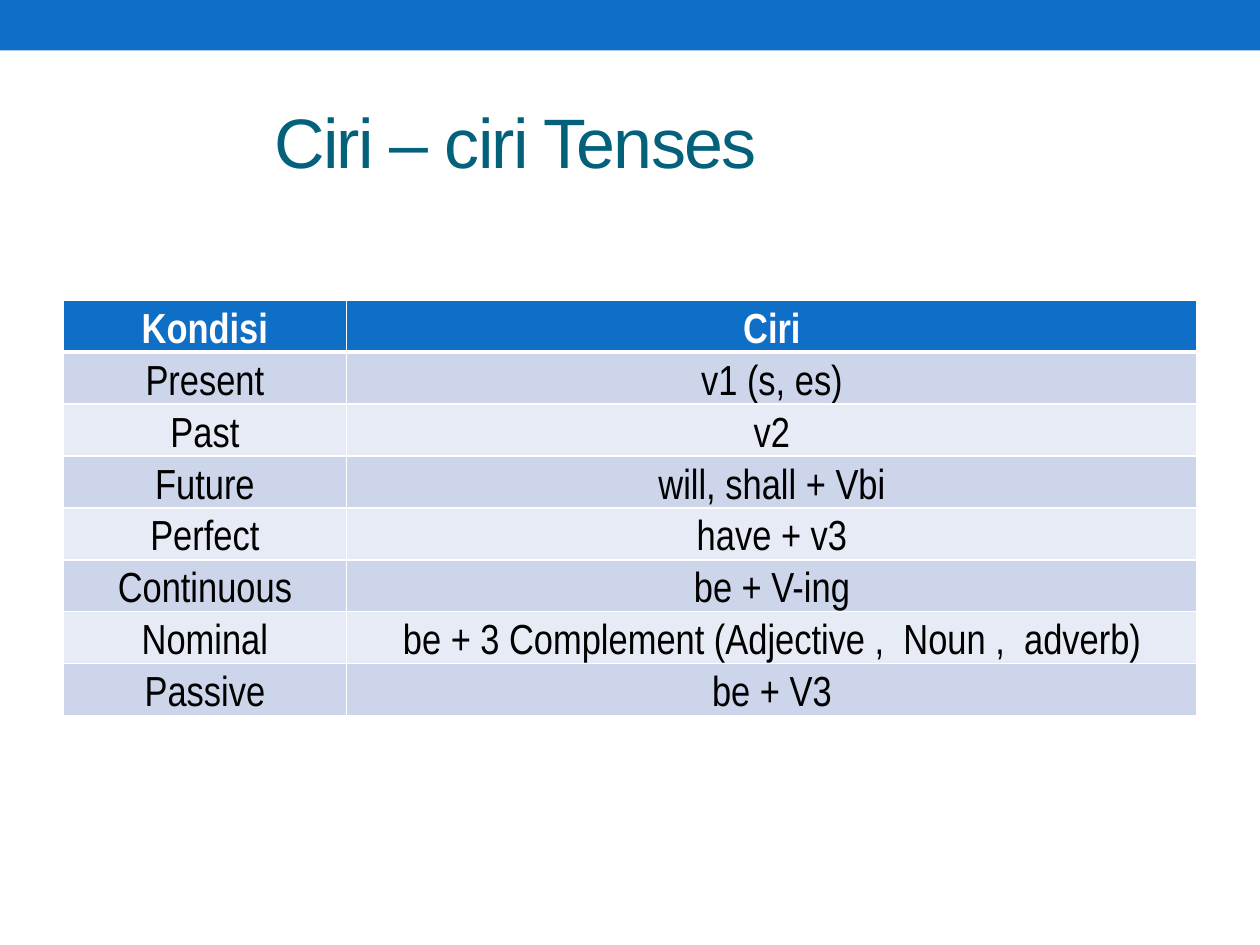
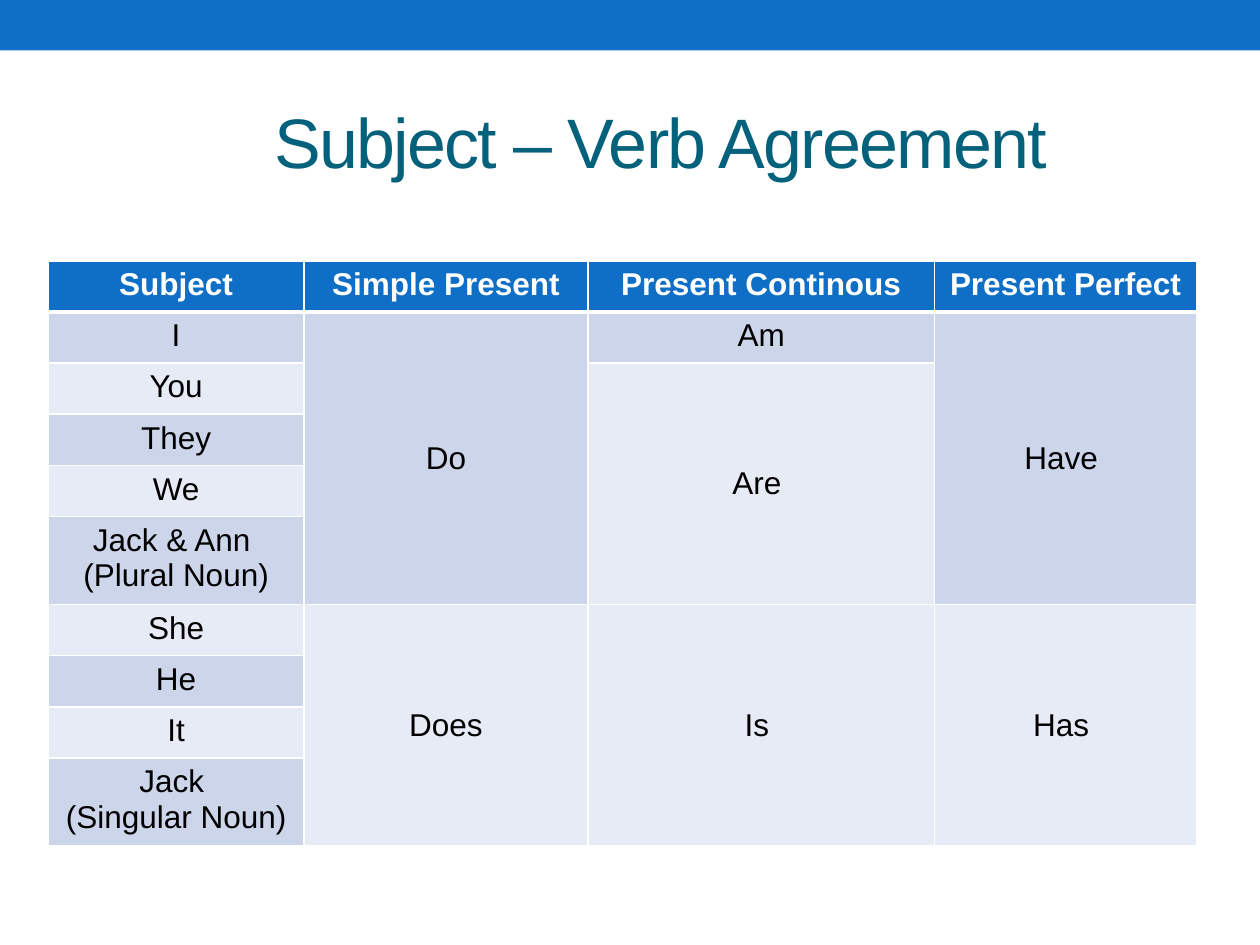
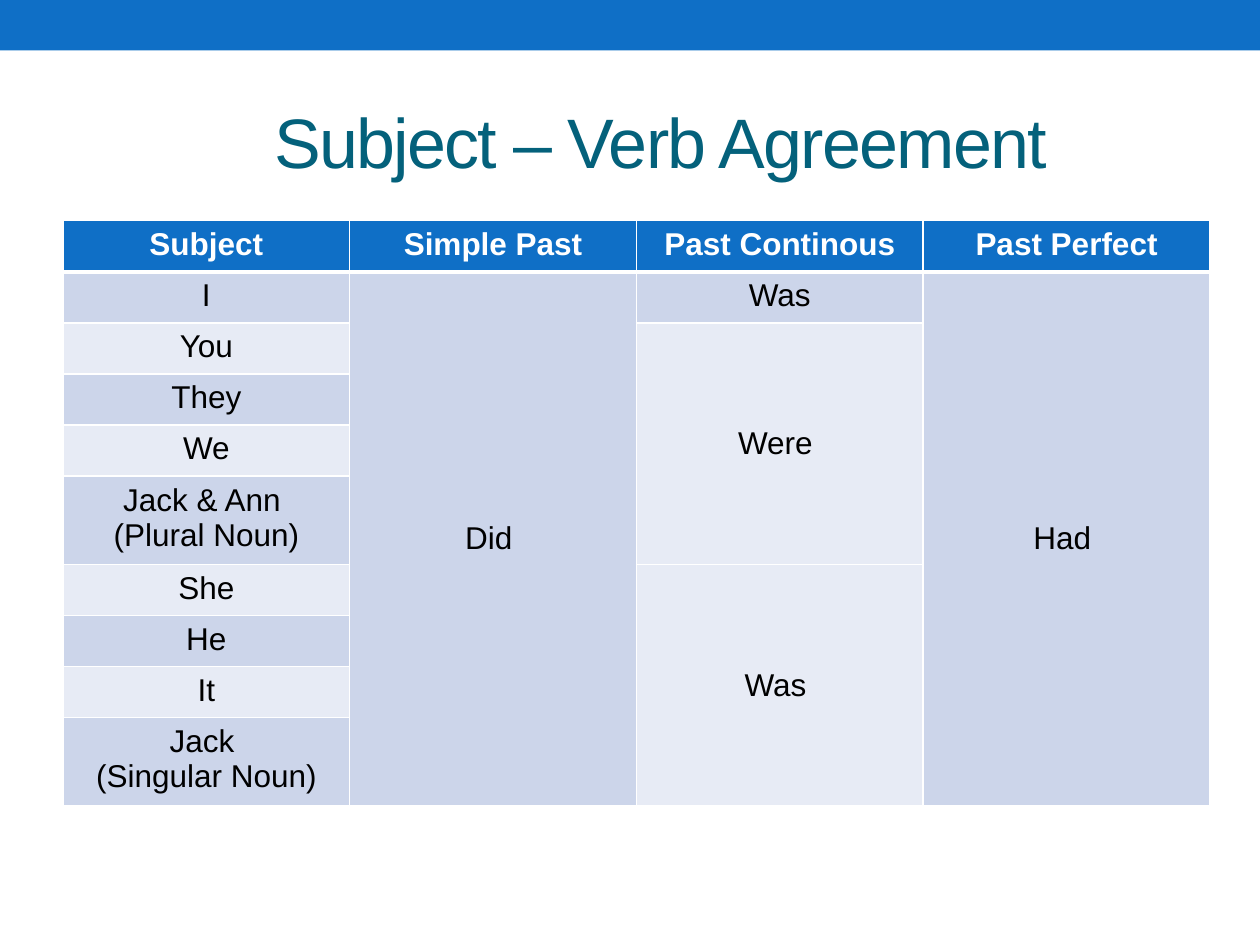
from dataclasses import dataclass

from lxml import etree
from pptx import Presentation
from pptx import util as u
from pptx.dml import color
from pptx.enum import shapes, text
from pptx.oxml import ns

BLUE, TEAL, WHITE, BLACK = "0F6FC6", "04617B", "FFFFFF", "000000"
BANDS = ("E7EBF5", "CCD5EA")
ROW = u.Cm(1.03)
WHO = ("I", "You", "They", "We", "Jack & Ann \n(Plural Noun)",
       "She", "He", "It", "Jack \n(Singular Noun)")


@dataclass(frozen=True)
class Style:
    """Type and cell layout of a table."""
    font: str
    size: int
    anchor: text.MSO_ANCHOR
    tight: bool


@dataclass(frozen=True)
class Block:
    """A cell that covers one or more rows of a column."""
    col: int
    row: int
    rows: int
    words: str


@dataclass(frozen=True)
class Page:
    """A titled slide with one table."""
    title: str
    left: float
    top: float
    cols: tuple[float, ...]
    heads: tuple[str, ...]
    blocks: list[Block]
    style: Style


NARROW = Style("Arial Narrow", 24, text.MSO_ANCHOR.BOTTOM, True)
PLAIN = Style("Arial", 18, text.MSO_ANCHOR.TOP, False)


def stack(col: int, words: tuple[str, ...]) -> list[Block]:
    """Fill a column with single-row blocks below the header."""
    return [Block(col, row, 1, word) for row, word in enumerate(words, 1)]


PAGES = (
    Page("Ciri – ciri Tenses", 1.27, 6.05, (5.72, 17.14), ("Kondisi", "Ciri"),
         stack(0, ("Present", "Past", "Future", "Perfect", "Continuous",
                   "Nominal", "Passive"))
         + stack(1, ("v1 (s, es)", "v2", "will, shall + Vbi", "have + v3",
                     "be + V-ing",
                     "be + 3 Complement (Adjective ,  Noun ,  adverb)",
                     "be + V3")),
         NARROW),
    Page("Subject – Verb Agreement", 0.97, 5.26, (5.16, 5.72, 6.99, 5.28),
         ("Subject", "Simple Present", "Present Continous", "Present Perfect"),
         stack(0, WHO) + [
             Block(1, 1, 5, "Do"), Block(1, 6, 4, "Does"),
             Block(2, 1, 1, "Am"), Block(2, 2, 4, "Are "),
             Block(2, 6, 4, "Is "),
             Block(3, 1, 5, "Have "), Block(3, 6, 4, "Has ")],
         PLAIN),
    Page("Subject – Verb Agreement", 1.27, 4.45, (5.78,) * 4,
         ("Subject", "Simple Past", "Past Continous", "Past Perfect"),
         stack(0, WHO) + [
             Block(1, 1, 9, "Did "),
             Block(2, 1, 1, "Was"), Block(2, 2, 4, "Were "),
             Block(2, 6, 4, "Was "),
             Block(3, 1, 9, "Had ")],
         PLAIN),
)


def paint(target, tone: str) -> None:
    """Give a fill a solid colour."""
    target.solid()
    target.fore_color.rgb = color.RGBColor.from_string(tone)


def format_runs(frame, font: str, size: int, tone: str, bold: bool) -> None:
    """Format every run of a text frame."""
    for para in frame.paragraphs:
        for run in para.runs:
            run.font.name = font
            run.font.size = u.Pt(size)
            run.font.bold = bold
            paint(run.font.fill, tone)


def add_edge(cell, side: str, width: int) -> None:
    """Draw a white border on one side of a cell."""
    props = cell._tc.get_or_add_tcPr()
    line = etree.SubElement(props, ns.qn(f"a:ln{side}"), w=str(u.Pt(width)))
    fill = etree.SubElement(line, ns.qn("a:solidFill"))
    etree.SubElement(fill, ns.qn("a:srgbClr"), val=WHITE)


def add_band(slide, width: int) -> None:
    """Draw the blue band along the top of the slide."""
    band = slide.shapes.add_shape(
        shapes.MSO_SHAPE.RECTANGLE, 0, 0, width, u.Cm(1.02))
    band.shadow.inherit = False
    paint(band.fill, BLUE)
    band.line.fill.background()


def add_title(slide, words: str) -> None:
    """Write the slide title."""
    box = slide.shapes.add_textbox(
        u.Cm(5.28), u.Cm(1.47), u.Cm(18.85), u.Cm(2.74))
    frame = box.text_frame
    frame.word_wrap = True
    frame.vertical_anchor = text.MSO_ANCHOR.MIDDLE
    frame.text = words
    format_runs(frame, "Arial", 40, TEAL, False)
    for run in frame.paragraphs[0].runs:
        run.font._element.set("spc", "-100")


def dress(cell, row: int, style: Style) -> None:
    """Set the borders, fill and margins of a cell."""
    widths = {"L": 1, "R": 1, "T": 3 if row == 1 else 1,
              "B": 3 if row == 0 else 1}
    for side, width in widths.items():
        add_edge(cell, side, width)
    paint(cell.fill, BANDS[row % 2] if row else BLUE)
    if style.tight:
        cell.margin_left = cell.margin_right = cell.margin_top = u.Cm(0.03)
        cell.margin_bottom = 0


def write(table, block: Block, style: Style) -> None:
    """Put the words of a block into the table."""
    cell = table.cell(block.row, block.col)
    cell.vertical_anchor = style.anchor
    if block.rows > 1:
        cell.merge(table.cell(block.row + block.rows - 1, block.col))
        cell.vertical_anchor = text.MSO_ANCHOR.MIDDLE
    frame = cell.text_frame
    frame.text = block.words
    head = block.row == 0
    format_runs(frame, style.font, style.size, WHITE if head else BLACK, head)
    for para in frame.paragraphs:
        para.alignment = text.PP_ALIGN.CENTER


def add_grid(slide, page: Page) -> None:
    """Build the table of a page."""
    count = 1 + sum(block.rows for block in page.blocks if block.col == 0)
    table = slide.shapes.add_table(
        count, len(page.cols), u.Cm(page.left), u.Cm(page.top),
        u.Cm(sum(page.cols)), ROW * count).table
    for col, width in zip(table.columns, page.cols):
        col.width = u.Cm(width)
    for index, row in enumerate(table.rows):
        row.height = ROW
        for cell in row.cells:
            dress(cell, index, page.style)
    heads = [Block(col, 0, 1, word) for col, word in enumerate(page.heads)]
    for block in heads + page.blocks:
        write(table, block, page.style)


def main() -> None:
    """Build the slides and save them."""
    deck = Presentation()
    deck.slide_width, deck.slide_height = u.Cm(25.4), u.Cm(19.05)
    for page in PAGES:
        slide = deck.slides.add_slide(deck.slide_layouts[6])
        add_band(slide, deck.slide_width)
        add_title(slide, page.title)
        add_grid(slide, page)
    deck.save("out.pptx")


if __name__ == "__main__":
    main()
